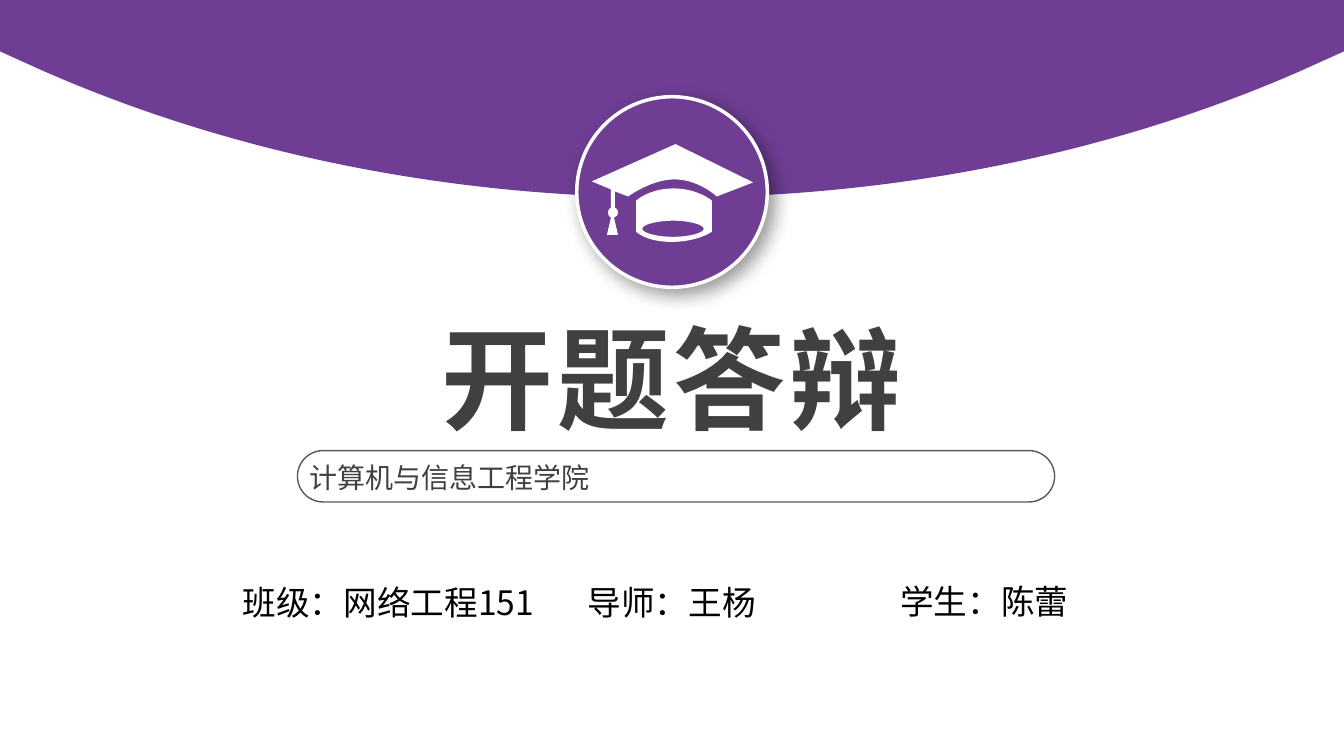
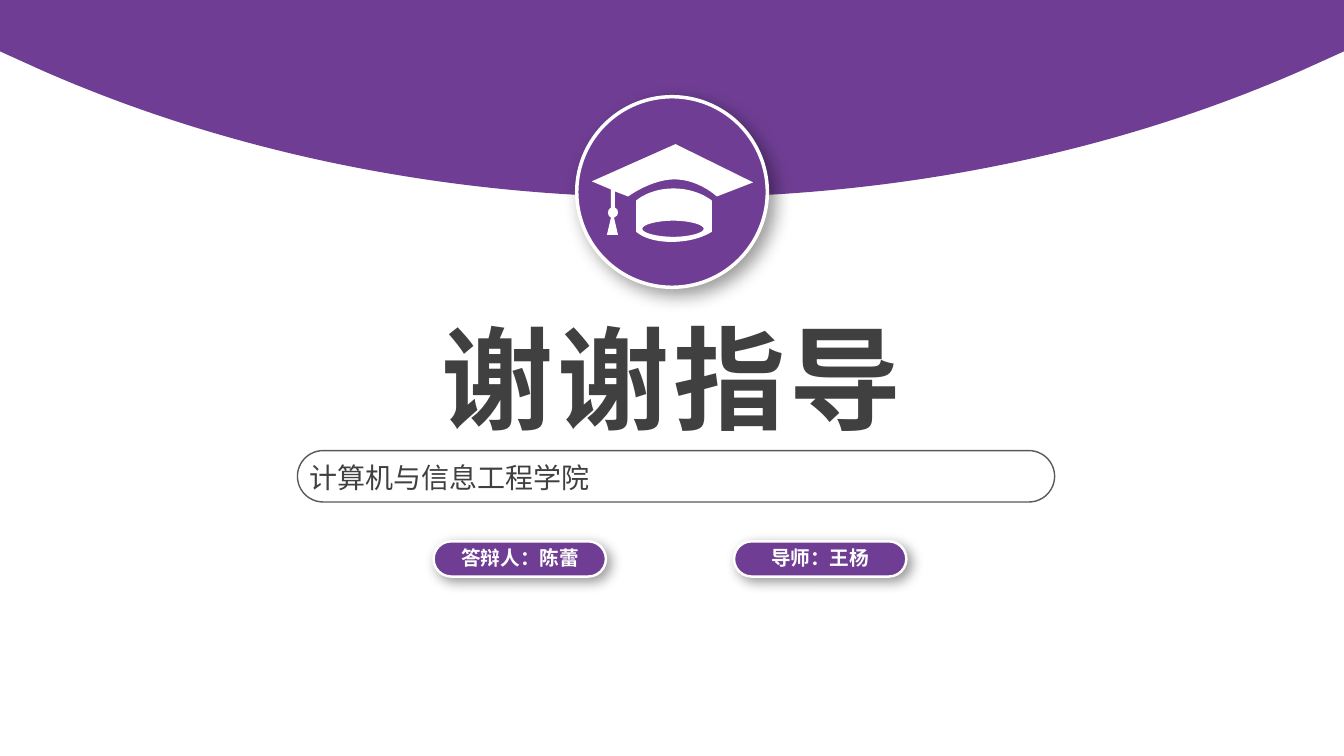
from pptx import Presentation
from pptx.dml.color import RGBColor
from pptx.enum.shapes import MSO_SHAPE
from pptx.enum.text import MSO_AUTO_SIZE, PP_ALIGN
from pptx.oxml import parse_xml
from pptx.oxml.ns import nsdecls, qn
from pptx.util import Inches, Pt
from lxml.etree import SubElement

FONT = "Noto Sans CJK SC"
PURPLE, WHITE, BLACK = "6F3E94", "FFFFFF", "000000"
DARK, GRAY = "404040", "595959"

BAND = [
    [(0, 0), (13.33, 0), (13.33, 0.51), (12.91, 0.7),
     (11.09, 1.5, 8.95, 1.96, 6.67, 1.96),
     (4.38, 1.96, 2.24, 1.5, 0.42, 0.7), (0, 0.51)],
]
CAP_BOARD = [
    (7.11, 1.95), (7.11, 1.95, 6.93, 1.78, 6.69, 1.78),
    (6.46, 1.78, 6.23, 1.95, 6.23, 1.95), (6.1, 1.9), (6.1, 2.06),
    (6.12, 2.07, 6.13, 2.08, 6.13, 2.11),
    (6.13, 2.13, 6.12, 2.15, 6.09, 2.16),
    (6.13, 2.33), (6.02, 2.33), (6.06, 2.16),
    (6.04, 2.15, 6.03, 2.13, 6.03, 2.11),
    (6.03, 2.09, 6.04, 2.07, 6.06, 2.06),
    (6.06, 1.88), (5.87, 1.8), (6.7, 1.43), (7.47, 1.81),
]
CAP_BODY = [
    (6.68, 1.87), (6.92, 1.87, 7.06, 1.99, 7.06, 1.99), (7.06, 2.3),
    (7.06, 2.3, 6.92, 2.4, 6.66, 2.4), (6.41, 2.4, 6.31, 2.3, 6.31, 2.3),
    (6.31, 1.99), (6.31, 1.99, 6.44, 1.87, 6.68, 1.87),
]
CAP_OPENING = [
    (6.68, 2.35), (6.84, 2.35, 6.98, 2.31, 6.98, 2.27),
    (6.98, 2.23, 6.84, 2.19, 6.68, 2.19),
    (6.51, 2.19, 6.37, 2.23, 6.37, 2.27),
    (6.37, 2.31, 6.51, 2.35, 6.68, 2.35),
]
CAP = [CAP_BOARD, CAP_BODY, CAP_OPENING]

SUBTITLE = "计算机与信息工程学院"
TITLE_STYLE = {"size": Pt(80), "bold": True}
SUBTITLE_STYLE = {"size": Pt(20)}
DETAIL_STYLE = {"size": Pt(24)}
PILL_STYLE = {"size": Pt(14), "bold": True}

CIRCLE = (MSO_SHAPE.OVAL, (5.72, 0.96, 1.89, 1.89), PURPLE, WHITE, 2.5, (13, 6))
FRAME = (MSO_SHAPE.ROUNDED_RECTANGLE, (2.95, 4.47, 7.51, 0.51), None, GRAY, 1, None)
PILLS = [
    (MSO_SHAPE.ROUNDED_RECTANGLE, (left, 5.37, 1.71, 0.35), PURPLE, WHITE, 1.75, (9, 4))
    for left in (4.3, 7.28)
]

SLIDES = [
    ("开题答辩", [], [
        ("班级：网络工程151", (2.31, 5.72, 3.27, 0.5), DETAIL_STYLE, BLACK, PP_ALIGN.LEFT, True),
        ("导师：王杨", (5.73, 5.72, 1.88, 0.5), DETAIL_STYLE, BLACK, PP_ALIGN.LEFT, False),
        ("学生：陈蕾", (8.83, 5.71, 1.88, 0.5), DETAIL_STYLE, BLACK, PP_ALIGN.LEFT, False),
    ]),
    ("谢谢指导", PILLS, [
        ("答辩人：陈蕾", (4.4, 5.37, 1.52, 0.34), PILL_STYLE, WHITE, PP_ALIGN.CENTER, True),
        ("导师：王杨", (7.32, 5.37, 1.63, 0.34), PILL_STYLE, WHITE, PP_ALIGN.CENTER, True),
    ]),
]


def paint(fill, color):
    if color is None:
        fill.background()
    else:
        fill.solid()
        fill.fore_color.rgb = RGBColor.from_string(color)


def add_outline(slide, contours, color):
    anchors = [[tuple(map(Inches, segment[-2:])) for segment in contour] for contour in contours]
    builder = slide.shapes.build_freeform(*anchors[0][0])
    for index, points in enumerate(anchors):
        if index:
            builder.move_to(*points[0])
        builder.add_line_segments(points[1:], close=True)
    outline = builder.convert_to_shape()
    lines = list(outline.element.iter(qn("a:lnTo")))
    segments = [segment for contour in contours for segment in contour[1:]]
    for line, segment in zip(lines, segments):
        if len(segment) == 6:
            curve = SubElement(line.getparent(), qn("a:cubicBezTo"))
            for x, y in zip(segment[::2], segment[1::2]):
                point = SubElement(curve, qn("a:pt"))
                point.set("x", str(Inches(x) - outline.left))
                point.set("y", str(Inches(y) - outline.top))
            line.getparent().replace(line, curve)
    outline.shadow.inherit = False
    paint(outline.fill, color)
    paint(outline.line.fill, None)


presentation = Presentation()
presentation.slide_width = Inches(13.33)
presentation.slide_height = Inches(7.5)

for title, pills, details in SLIDES:
    slide = presentation.slides.add_slide(presentation.slide_layouts[6])
    paint(slide.background.fill, WHITE)
    add_outline(slide, BAND, PURPLE)

    for preset, box, fill, line, width, shadow in [CIRCLE, FRAME, *pills]:
        shape = slide.shapes.add_shape(preset, *map(Inches, box))
        if preset == MSO_SHAPE.ROUNDED_RECTANGLE:
            shape.adjustments[0] = 0.5
        paint(shape.fill, fill)
        paint(shape.line.fill, line)
        shape.line.width = Pt(width)
        shape.shadow.inherit = False
        if shadow:
            blur, distance = map(Pt, shadow)
            effects = shape.element.spPr.find(qn("a:effectLst"))
            effects.append(parse_xml(
                f'<a:outerShdw {nsdecls("a")} blurRad="{blur}" dist="{distance}" '
                f'dir="2700000" algn="tl" rotWithShape="0"><a:srgbClr val="{BLACK}">'
                '<a:alpha val="40000"/></a:srgbClr></a:outerShdw>'))
    add_outline(slide, CAP, WHITE)

    for text, box, style, color, alignment, wrap in [
        (title, (2.87, 3.02, 7.58, 1.45), TITLE_STYLE, DARK, PP_ALIGN.CENTER, True),
        (SUBTITLE, (2.97, 4.52, 7.46, 0.27), SUBTITLE_STYLE, DARK, PP_ALIGN.JUSTIFY, True),
        *details,
    ]:
        frame = slide.shapes.add_textbox(*map(Inches, box)).text_frame
        frame.word_wrap = wrap
        frame.auto_size = MSO_AUTO_SIZE.SHAPE_TO_FIT_TEXT
        paragraph = frame.paragraphs[0]
        paragraph.alignment = alignment
        run = paragraph.add_run()
        run.text = text
        for name, value in {"name": FONT, **style}.items():
            setattr(run.font, name, value)
        paint(run.font.fill, color)
        properties = run._r.get_or_add_rPr()
        SubElement(properties, qn("a:ea")).set("typeface", FONT)
        if style is TITLE_STYLE:
            properties.set("spc", "300")

presentation.save("out.pptx")
